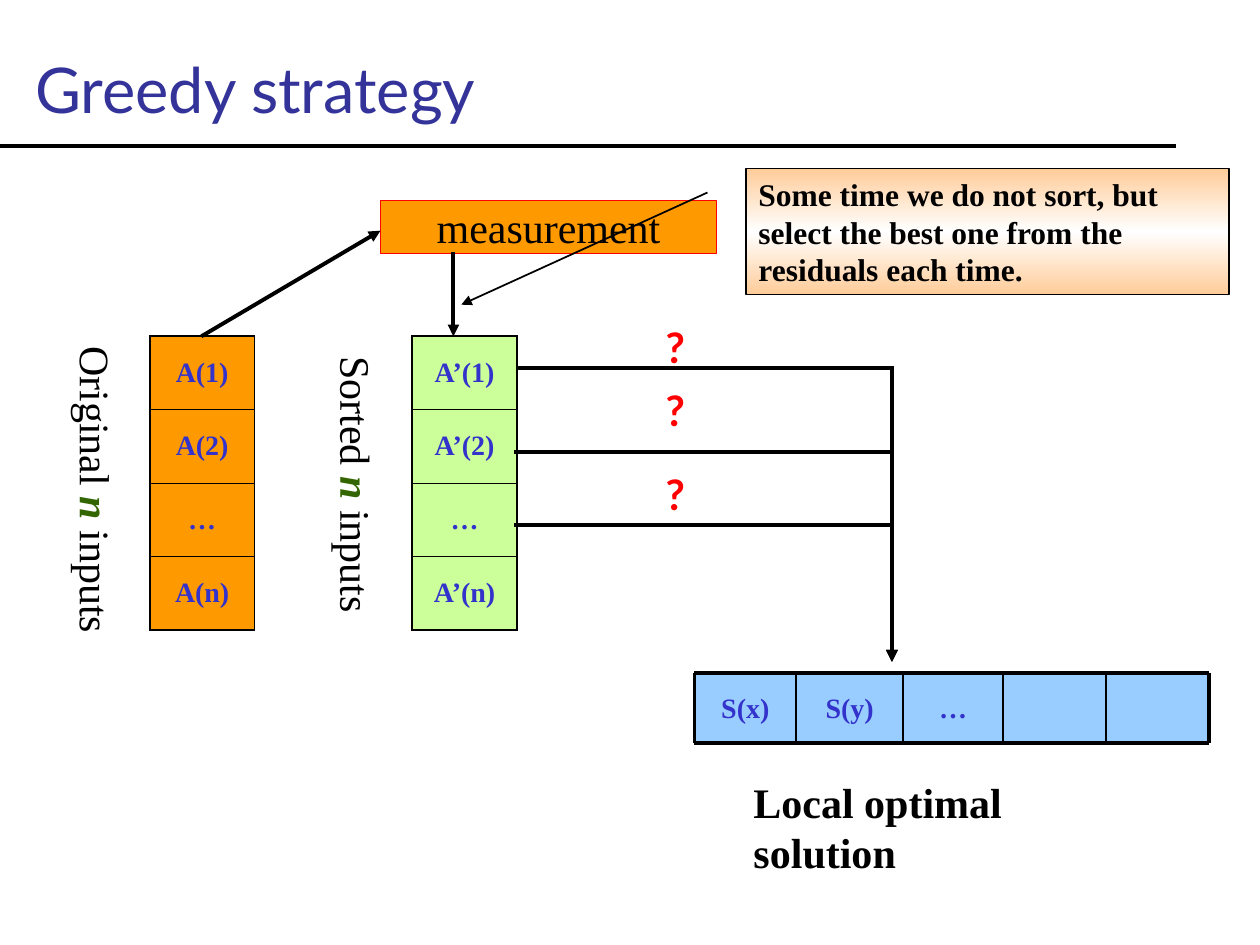
from dataclasses import dataclass
from copy import deepcopy
from itertools import pairwise

from pptx import Presentation
from pptx import util as u
from pptx.dml.color import RGBColor
from pptx.enum import shapes, text
from pptx.oxml import ns, xmlchemy

SERIF, SANS = "Times New Roman", "Lato"
BLACK, RED, BLUE, ORANGE = "000000", "FF0000", "3333CC", "FF9900"
THICK = 2.25


@dataclass(frozen=True)
class Style:
    size: float
    color: str = BLACK
    font: str = SERIF
    bold: bool = False
    italic: bool = False


@dataclass(frozen=True)
class Box:
    """Position and size in centimetres."""
    left: float
    top: float
    width: float
    height: float

    def lengths(self) -> list:
        return [u.Cm(v) for v in (self.left, self.top, self.width, self.height)]


@dataclass(frozen=True)
class InputList:
    left: float
    fill: str
    items: tuple


@dataclass(frozen=True)
class Branch:
    left: float
    right: float
    y: float
    mark_top: float


LABEL = Style(24)
CELL = Style(16, BLUE, bold=True)
VARIABLE = Style(24, "336600", bold=True, italic=True)
MARK = Style(24, RED, SANS, bold=True)


def rgb(value: str) -> RGBColor:
    return RGBColor.from_string(value)


def child(parent, tag: str, **attributes):
    element = xmlchemy.OxmlElement(tag)
    for name, value in attributes.items():
        element.set(name, value)
    parent.append(element)
    return element


def style_run(r, style: Style) -> None:
    r.font.name, r.font.size = style.font, u.Pt(style.size)
    r.font.bold, r.font.italic = style.bold, style.italic
    r.font.color.rgb = rgb(style.color)


def write(tf, words: str, style: Style, align=text.PP_ALIGN.LEFT) -> None:
    tf.text = words
    p = tf.paragraphs[0]
    p.alignment = align
    for r in p.runs:
        style_run(r, style)


def add_label(s, box: Box, words: str, style: Style, align=text.PP_ALIGN.LEFT,
              anchor=text.MSO_ANCHOR.TOP) -> None:
    tf = s.shapes.add_textbox(*box.lengths()).text_frame
    tf.word_wrap = False
    tf.vertical_anchor = anchor
    write(tf, words, style, align)


def add_vertical_label(s, box: Box, first_word: str) -> None:
    """Write '<first word> n inputs' reading downwards."""
    tf = s.shapes.add_textbox(*box.lengths()).text_frame
    tf.word_wrap = False
    tf.margin_left = tf.margin_right = u.Cm(0.13)
    tf.margin_top = tf.margin_bottom = u.Cm(0.25)
    tf._txBody.bodyPr.set("vert", "eaVert")
    p = tf.paragraphs[0]
    for words, style in ((first_word + " ", LABEL), ("n", VARIABLE), (" inputs", LABEL)):
        r = p.add_run()
        r.text = words
        style_run(r, style)


def add_shape(s, kind, box: Box, line: str | None = None, width: float = 1):
    sp = s.shapes.add_shape(kind, *box.lengths())
    sp.shadow.inherit = False
    if line:
        sp.line.color.rgb = rgb(line)
        sp.line.width = u.Pt(width)
    else:
        sp.line.fill.background()
    sp.text_frame.vertical_anchor = text.MSO_ANCHOR.MIDDLE
    return sp


def add_rect(s, box: Box, fill: str, words: str, style: Style, line: str | None = None,
             width: float = 1) -> None:
    sp = add_shape(s, shapes.MSO_SHAPE.RECTANGLE, box, line, width)
    sp.fill.solid()
    sp.fill.fore_color.rgb = rgb(fill)
    write(sp.text_frame, words, style, text.PP_ALIGN.CENTER)


def add_line(s, x1: float, y1: float, x2: float, y2: float, width: float = THICK,
             arrow: bool = False) -> None:
    ends = [u.Cm(v) for v in (x1, y1, x2, y2)]
    c = s.shapes.add_connector(shapes.MSO_CONNECTOR.STRAIGHT, *ends)
    c.line.color.rgb = rgb(BLACK)
    c.line.width = u.Pt(width)
    if arrow:
        child(c.line._get_or_add_ln(), "a:tailEnd", type="triangle")
    child(c._element.spPr, "a:effectLst")


def add_border(cell, side: str, width: float) -> None:
    ln = child(cell._tc.get_or_add_tcPr(), f"a:ln{side}", w=str(u.Pt(width)))
    child(child(ln, "a:solidFill"), "a:srgbClr", val=BLACK)


def add_input_list(s, data: InputList, top: float, width: float, row_height: float) -> None:
    count = len(data.items)
    box = Box(data.left, top, width, row_height * count)
    table = s.shapes.add_table(count, 1, *box.lengths()).table
    table.first_row = table.horz_banding = False
    for i, item in enumerate(data.items):
        table.rows[i].height = u.Cm(row_height)
        cell = table.cell(i, 0)
        cell.vertical_anchor = text.MSO_ANCHOR.MIDDLE
        write(cell.text_frame, item, CELL, text.PP_ALIGN.CENTER)
        for side in "LRTB":
            inner = (side == "T" and i > 0) or (side == "B" and i < count - 1)
            add_border(cell, side, 0.45 if inner else 1.08)
        cell.fill.solid()
        cell.fill.fore_color.rgb = rgb(data.fill)


def add_solution(s) -> None:
    edges = (14, 16.05, 18.21, 20.22, 22.3, 24.38)
    top, bottom = 13.56, 14.97
    for (left, right), words in zip(pairwise(edges), ("S(x)", "S(y)", "…", "", "")):
        add_rect(s, Box(left, top, right - left, bottom - top), "99CCFF", words, CELL)
    for y in (top, bottom):
        add_line(s, edges[0], y, edges[-1], y)
    for x in edges:
        add_line(s, x, top, x, bottom, THICK if x in (edges[0], edges[-1]) else 1)
    add_label(s, Box(14.94, 15.52, 8.59, 1.27), "Local optimal solution", Style(24, bold=True))


def add_callout(s) -> None:
    sp = add_shape(s, shapes.MSO_SHAPE.LINE_CALLOUT_1, Box(15.04, 3.4, 9.73, 2.54), BLACK)
    for i, value in enumerate((0.19, -0.08, 1.08, -0.59)):
        sp.adjustments[i] = value
    sp.fill.gradient()
    sp.fill.gradient_angle = 90
    stops = sp._element.spPr.find(ns.qn("a:gradFill")).find(ns.qn("a:gsLst"))
    stops.append(deepcopy(stops[0]))
    for stop, position, color in zip(sp.fill.gradient_stops, (0, 0.5, 1),
                                     ("FFCC99", "FFFFFF", "FFCC99")):
        stop.position = position
        stop.color.rgb = rgb(color)
    child(sp.line._get_or_add_ln(), "a:tailEnd", type="triangle")
    sp.text_frame.word_wrap = True
    sp.text_frame.vertical_anchor = text.MSO_ANCHOR.TOP
    write(sp.text_frame, "Some time we do not sort, but select the best one from the "
          "residuals each time.", Style(18, bold=True))


def main() -> None:
    prs = Presentation()
    prs.slide_width, prs.slide_height = u.Cm(25.4), u.Cm(19.05)
    s = prs.slides.add_slide(prs.slide_layouts[6])

    add_label(s, Box(0.46, 0.15, 19.96, 2.51), "Greedy strategy",
              Style(36, "333399", SANS), anchor=text.MSO_ANCHOR.BOTTOM)
    add_line(s, 0, 2.95, 23.7, 2.95)
    add_rect(s, Box(7.67, 4.04, 6.78, 1.07), ORANGE, "measurement", LABEL, RED, 0.75)
    for data in (InputList(3.02, ORANGE, ("A(1)", "A(2)", "…", "A(n)")),
                 InputList(8.31, "CCFF99", ("A’(1)", "A’(2)", "…", "A’(n)"))):
        add_input_list(s, data, top=6.78, width=2.11, row_height=1.48)
    add_solution(s)
    add_line(s, 4.06, 6.78, 7.67, 4.65, arrow=True)
    add_line(s, 9.14, 5.08, 9.14, 6.78, arrow=True)
    add_vertical_label(s, Box(1.07, 6.73, 1.52, 6.05), "Original")
    add_vertical_label(s, Box(6.32, 6.93, 1.52, 5.64), "Sorted")
    for b in (Branch(10.41, 18.03, 7.42, 6.35), Branch(10.36, 17.98, 9.12, 7.62),
              Branch(10.36, 17.98, 10.59, 9.32)):
        add_line(s, b.left, b.y, b.right, b.y)
        add_line(s, 17.98, b.y, 17.98, 13.34, arrow=True)
        add_label(s, Box(13.16, b.mark_top, 0.91, 1.27), "?", MARK, text.PP_ALIGN.CENTER)
    add_callout(s)
    prs.save("out.pptx")


if __name__ == "__main__":
    main()
